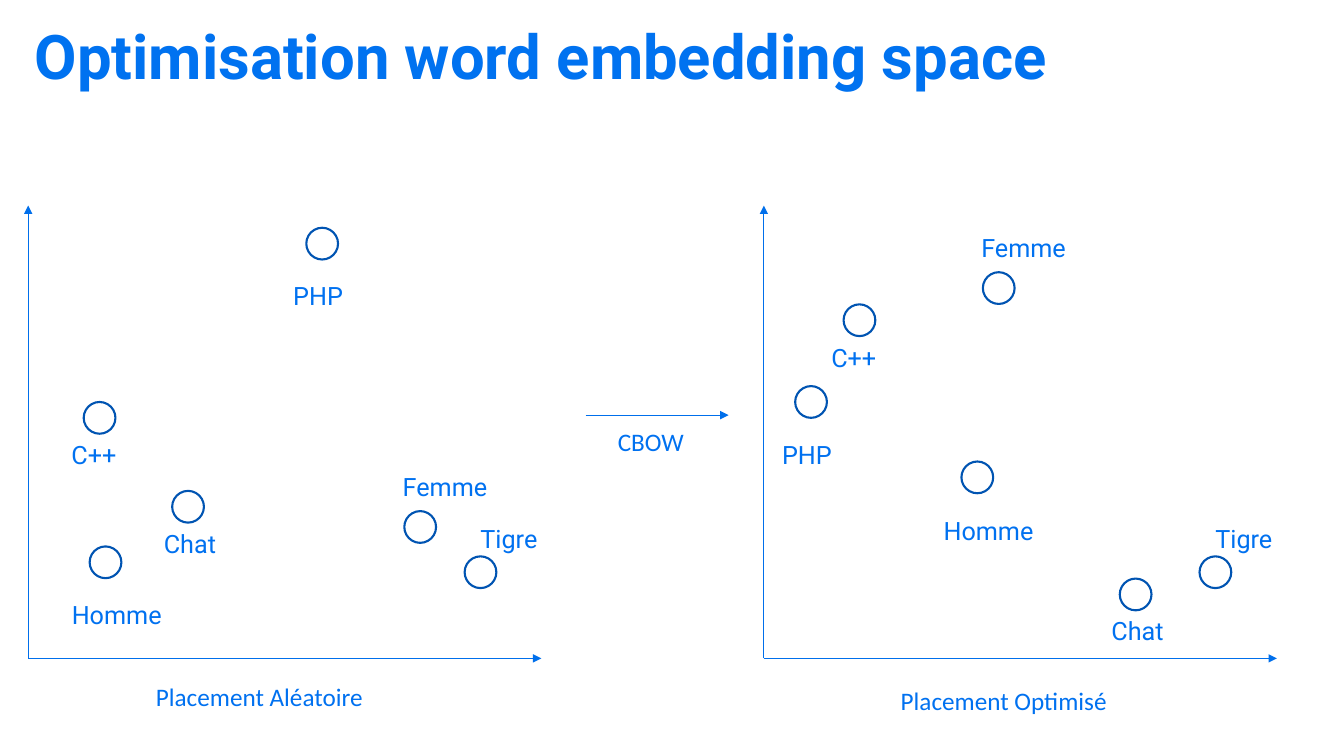
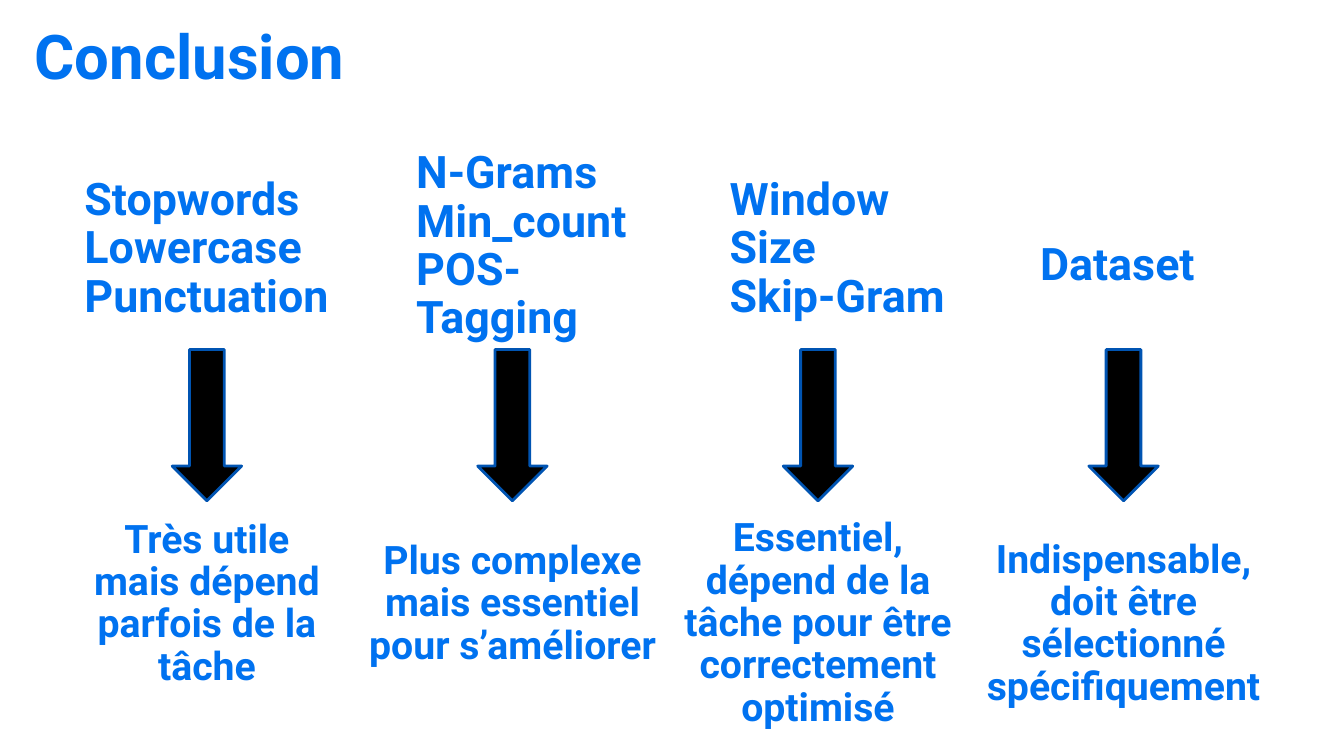
import pptx
import pptx.dml.color
import pptx.enum.shapes
import pptx.enum.text
import pptx.oxml
import pptx.oxml.ns
import pptx.util

Cm = pptx.util.Cm
Pt = pptx.util.Pt
RGBColor = pptx.dml.color.RGBColor
ALIGN = pptx.enum.text.PP_ALIGN
ANCHOR = pptx.enum.text.MSO_ANCHOR
AUTO_SIZE = pptx.enum.text.MSO_AUTO_SIZE
SHAPE = pptx.enum.shapes.MSO_SHAPE

HEADING_BLUE = RGBColor(0x00, 0x72, 0xF0)
LABEL_BLUE = RGBColor(0x00, 0x71, 0xF0)
AXIS_BLUE = RGBColor(0x00, 0x6F, 0xEB)
OUTLINE_BLUE = RGBColor(0x00, 0x54, 0xB2)
WHITE = RGBColor(0xFF, 0xFF, 0xFF)
BLACK = RGBColor(0x00, 0x00, 0x00)

TITLE = {"name": "Roboto", "size": Pt(44), "bold": True}
TOPIC = {"name": "Roboto", "size": Pt(32), "bold": True}
VERDICT = {"name": "Roboto", "size": Pt(28), "bold": True}
WORD = {"name": "Roboto", "size": Pt(18)}
CAPTION = {"name": "Calibri", "size": Pt(18)}

AXIS_TOP, AXIS_BASE, AXIS_LENGTH = 5.18, 16.59, 12.93
DOT_SIZE = 0.8
LABEL_HEIGHT = 1.02

# Label offset from its dot (right, down) and label width, in cm
WORD_LABELS = {
    "Homme": (-0.7, 1.22, 3.0),
    "Chat": (-0.46, 0.81, 1.98),
    "Tigre": (0.15, -0.97, 2.08),
    "Femme": (-0.29, -1.12, 2.84),
    "C++": (-0.56, 0.82, 2.0),
    "PHP": (-0.58, 1.21, 1.9),
}

# Axis left, caption, caption position, dot positions, in cm
SPACES = [
    (0.71, "Placement Aléatoire", (3.68, 17.04), {
        "Homme": (2.26, 13.77), "Chat": (4.34, 12.37),
        "Tigre": (11.71, 14.02), "Femme": (10.19, 12.88),
        "C++": (2.11, 10.13), "PHP": (7.72, 5.74)}),
    (19.25, "Placement Optimisé", (22.45, 17.15), {
        "Homme": (24.23, 11.63), "Chat": (28.22, 14.58),
        "Tigre": (30.23, 14.02), "Femme": (24.77, 6.86),
        "C++": (21.26, 7.67), "PHP": (20.04, 9.73)}),
]

ARROW_LEFT, ARROW_STEP, ARROW_WIDTH = 4.34, 7.7, 1.75
BLOCK_HEIGHT, TOPIC_WIDTH = 4.22, 6.68

# Topics, their left and top, verdict, its top and width, in cm
CONCLUSIONS = [
    (["Stopwords", "Lowercase", "Punctuation"], 1.88, 4.17,
     "Très utile mais dépend parfois de la tâche", 13.11, 6.68),
    (["N-Grams", "Min_count", "POS-Tagging"], 10.24, 4.11,
     "Plus complexe mais essentiel pour s’améliorer", 13.11, 8.2),
    (["Window", "Size", "Skip-Gram"], 18.14, 4.17,
     "Essentiel, dépend de la tâche pour être correctement optimisé",
     13.61, 8.2),
    (["Dataset"], 25.96, 4.6,
     "Indispensable, doit être sélectionné spécifiquement", 13.61, 8.2),
]


def format_paragraph(paragraph, style, colour):
    for attribute, value in style.items():
        setattr(paragraph.font, attribute, value)
    paragraph.font.color.rgb = colour


def fill_heading(frame, lines, style, align):
    """Write bold, tightly spaced lines centred vertically in a frame."""
    frame.word_wrap = True
    frame.auto_size = AUTO_SIZE.NONE
    frame.vertical_anchor = ANCHOR.MIDDLE
    frame.text = "\n".join(lines)
    for paragraph in frame.paragraphs:
        paragraph.alignment = align
        paragraph.line_spacing = 0.9
        paragraph.space_before = Pt(0)
        format_paragraph(paragraph, style, HEADING_BLUE)


def add_titled_slide(deck, heading):
    slide = deck.slides.add_slide(deck.slide_layouts[5])
    title = slide.shapes.title
    title.left, title.top = Cm(0.62), Cm(0.46)
    title.width, title.height = Cm(29.21), Cm(2.08)
    fill_heading(title.text_frame, [heading], TITLE, ALIGN.LEFT)
    return slide


def add_block(slide, lines, left, top, width, style, align):
    block = slide.shapes.add_textbox(
        Cm(left), Cm(top), Cm(width), Cm(BLOCK_HEIGHT))
    fill_heading(block.text_frame, lines, style, align)


def add_label(slide, text, left, top, width, style):
    label = slide.shapes.add_textbox(
        Cm(left), Cm(top), Cm(width), Cm(LABEL_HEIGHT))
    frame = label.text_frame
    frame.word_wrap = False
    frame.auto_size = AUTO_SIZE.SHAPE_TO_FIT_TEXT
    frame.text = text
    format_paragraph(frame.paragraphs[0], style, LABEL_BLUE)


def add_arrow(slide, start, end):
    arrow = slide.shapes.add_connector(
        pptx.enum.shapes.MSO_CONNECTOR.STRAIGHT,
        *(Cm(value) for value in (*start, *end)))
    arrow.line.color.rgb = AXIS_BLUE
    arrow.line.width = Pt(0.75)
    outline = arrow.line._get_or_add_ln()
    head = pptx.oxml.parse_xml(
        f'<a:tailEnd {pptx.oxml.ns.nsdecls("a")} type="triangle"/>')
    outline.append(head)
    arrow._element.spPr.append(pptx.oxml.parse_xml(
        f'<a:effectLst {pptx.oxml.ns.nsdecls("a")}/>'))


def add_figure(slide, kind, left, top, width, height, fill, line_width):
    figure = slide.shapes.add_shape(
        kind, Cm(left), Cm(top), Cm(width), Cm(height))
    figure.shadow.inherit = False
    figure.fill.solid()
    figure.fill.fore_color.rgb = fill
    figure.line.color.rgb = OUTLINE_BLUE
    figure.line.width = Pt(line_width)


def add_word_space(slide, left, caption, caption_at, dots):
    origin = (left, AXIS_BASE)
    add_arrow(slide, origin, (left + AXIS_LENGTH, AXIS_BASE))
    add_arrow(slide, origin, (left, AXIS_TOP))
    for word, (x, y) in dots.items():
        right, down, width = WORD_LABELS[word]
        add_figure(slide, SHAPE.OVAL, x, y, DOT_SIZE, DOT_SIZE, WHITE, 1.5)
        add_label(slide, word, x + right, y + down, width, WORD)
    add_label(slide, caption, *caption_at, 6.88, CAPTION)


def build_embedding_slide(deck):
    slide = add_titled_slide(deck, "Optimisation word embedding space")
    for space in SPACES:
        add_word_space(slide, *space)
    add_arrow(slide, (14.76, 10.46), (18.36, 10.46))
    add_label(slide, "CBOW", 15.32, 10.62, 2.49, CAPTION)


def build_conclusion_slide(deck):
    slide = add_titled_slide(deck, "Conclusion")
    for column, conclusion in enumerate(CONCLUSIONS):
        topics, left, top, verdict, verdict_top, verdict_width = conclusion
        arrow_left = ARROW_LEFT + column * ARROW_STEP
        verdict_left = arrow_left + (ARROW_WIDTH - verdict_width) / 2
        add_block(slide, topics, left, top, TOPIC_WIDTH, TOPIC, ALIGN.LEFT)
        add_figure(slide, SHAPE.DOWN_ARROW, arrow_left, 8.81,
                   ARROW_WIDTH, 3.81, BLACK, 2)
        add_block(slide, [verdict], verdict_left, verdict_top,
                  verdict_width, VERDICT, ALIGN.CENTER)


def main():
    deck = pptx.Presentation()
    deck.slide_width, deck.slide_height = Cm(33.87), Cm(19.05)
    build_embedding_slide(deck)
    build_conclusion_slide(deck)
    deck.save("out.pptx")


if __name__ == "__main__":
    main()
